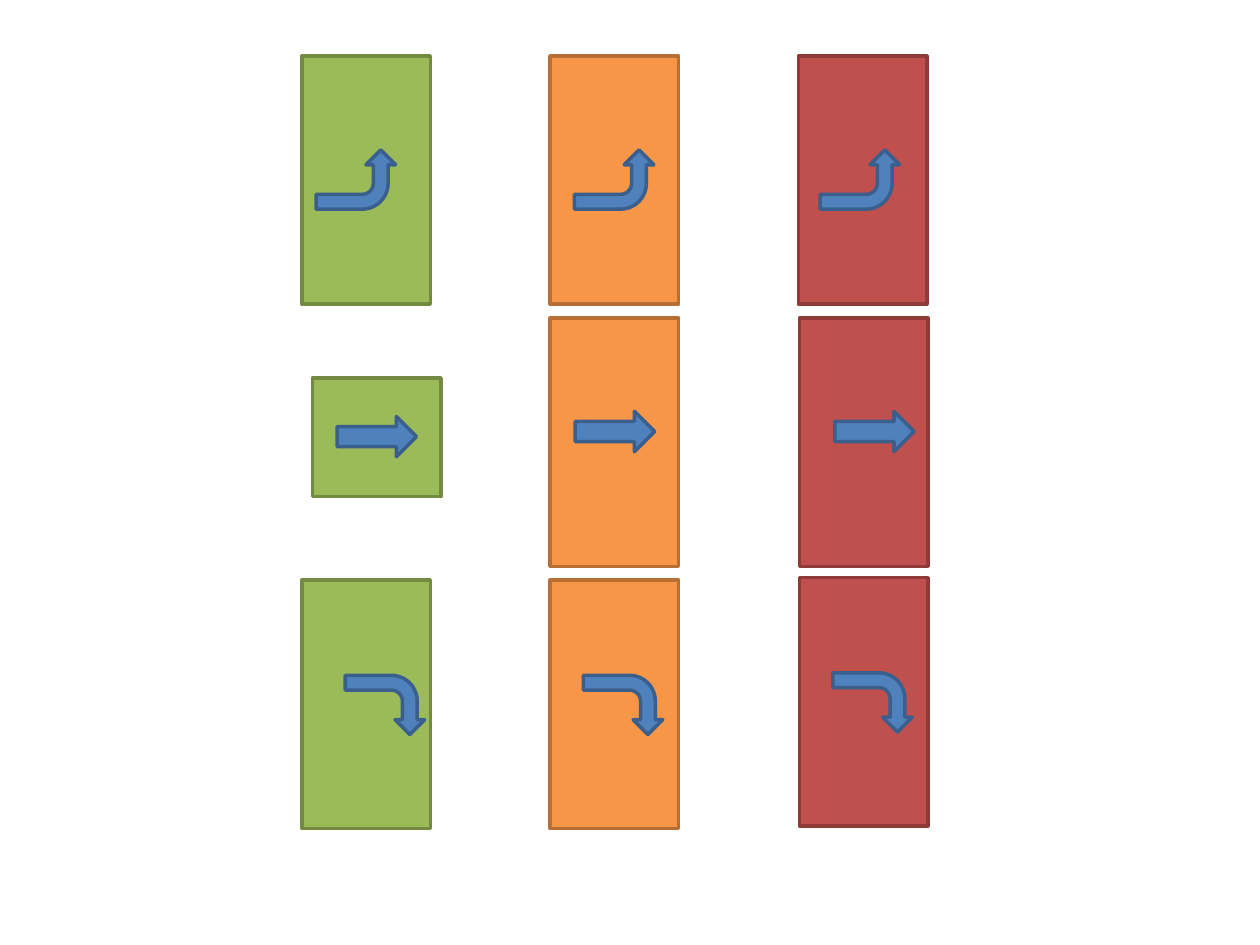
from pptx import Presentation
from pptx.dml.color import RGBColor
from pptx.enum.shapes import MSO_SHAPE as Shape
from pptx.oxml.ns import qn
from pptx.util import Inches, Pt

# Each style is a fill and its outline
GREEN = (RGBColor(0x9B, 0xBB, 0x59), RGBColor(0x73, 0x8A, 0x42))
ORANGE = (RGBColor(0xF7, 0x96, 0x46), RGBColor(0xB7, 0x6F, 0x34))
RED = (RGBColor(0xC0, 0x50, 0x4D), RGBColor(0x8E, 0x3B, 0x39))
BLUE = (RGBColor(0x4F, 0x81, 0xBD), RGBColor(0x3A, 0x5F, 0x8C))

# Panels by row: left, top, length before the quarter turn
PANEL_ROWS = [
    [(1.92, 0.92, 1.97), (3.89, 0.92, 1.97), (5.86, 0.92, 1.97)],
    [(2.52, 2.96, 0.94), (3.89, 3, 1.97), (5.87, 3, 1.97)],
    [(1.92, 5.08, 1.97), (3.89, 5.08, 1.97), (5.87, 5.06, 1.97)],
]

# Arrows by direction: left, top
UP_TURNS = [(2.59, 1.11), (4.64, 1.11), (6.59, 1.11)]
STRAIGHTS = [(2.83, 3.15), (4.72, 3.11), (6.78, 3.11)]
DOWN_TURNS = [(2.82, 5.28), (4.71, 5.28), (6.69, 5.26)]


class ArrowSlide:
    """Draws shapes turned by 90 degrees on one slide."""

    panel_height = 1.02
    arrow_height = 0.63
    turn_width = 0.47
    straight_width = 0.32
    line_width = Pt(2)

    def __init__(self, slide):
        self.slide = slide

    def turned_shape(self, kind, left, top, width, height, style):
        shape = self.slide.shapes.add_shape(
            kind, Inches(left), Inches(top), Inches(width), Inches(height))
        shape.rotation = 90
        shape.shadow.inherit = False
        fill, outline = style
        shape.fill.solid()
        shape.fill.fore_color.rgb = fill
        shape.line.color.rgb = outline
        shape.line.width = self.line_width
        return shape

    def panel(self, left, top, length, style):
        self.turned_shape(Shape.RECTANGLE, left, top, length,
                          self.panel_height, style)

    def straight_arrow(self, left, top):
        self.turned_shape(Shape.UP_ARROW, left, top, self.straight_width,
                          self.arrow_height, BLUE)

    def bent_arrow(self, left, top, upward=False):
        shape = self.turned_shape(Shape.BENT_ARROW, left, top,
                                  self.turn_width, self.arrow_height, BLUE)
        if upward:
            shape.element.spPr.find(qn("a:xfrm")).set("flipH", "1")


def main():
    presentation = Presentation()
    presentation.slide_width = Inches(10)
    presentation.slide_height = Inches(7.5)
    slide = presentation.slides.add_slide(presentation.slide_layouts[6])
    board = ArrowSlide(slide)

    # Coloured panels, one colour per column
    for row in PANEL_ROWS:
        for (left, top, length), style in zip(row, (GREEN, ORANGE, RED)):
            board.panel(left, top, length, style)

    # Arrows on the panels
    for left, top in UP_TURNS:
        board.bent_arrow(left, top, upward=True)
    for left, top in STRAIGHTS:
        board.straight_arrow(left, top)
    for left, top in DOWN_TURNS:
        board.bent_arrow(left, top)

    presentation.save("out.pptx")


if __name__ == "__main__":
    main()
